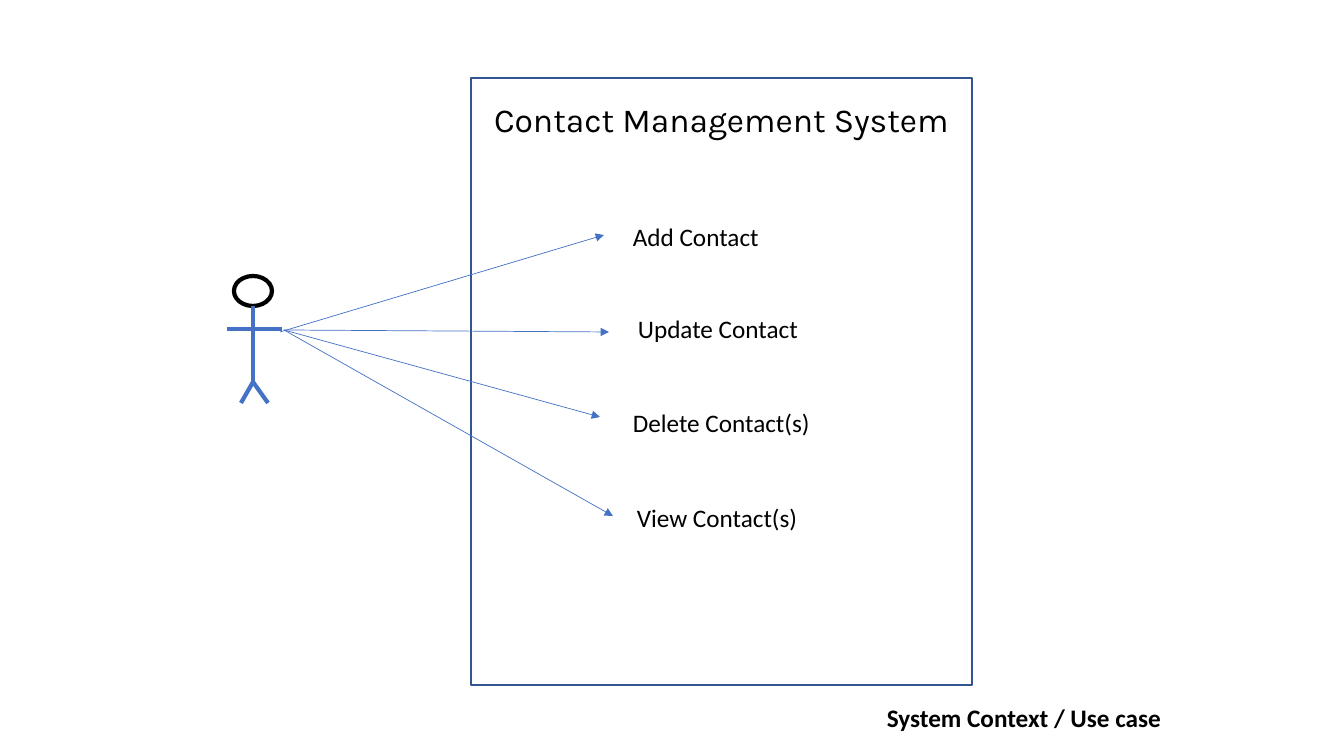
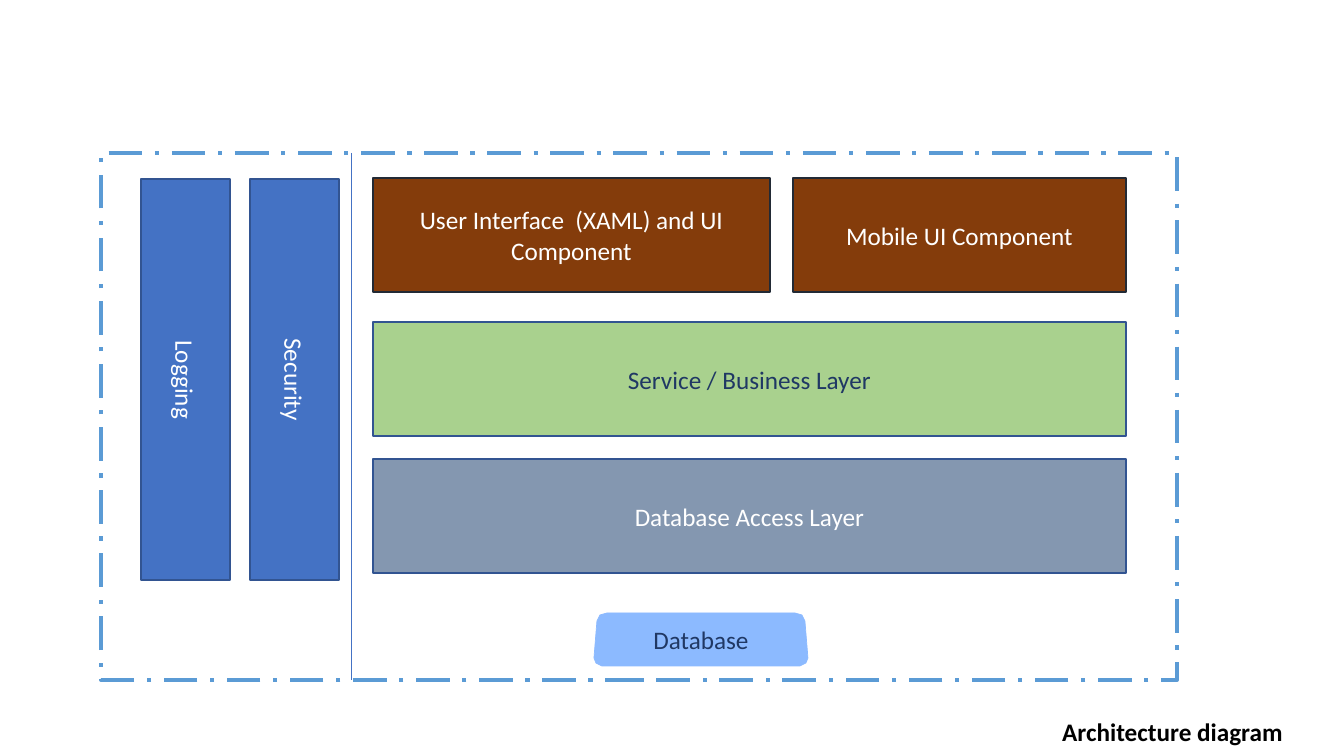
from dataclasses import dataclass
from typing import NamedTuple, Optional

from pptx import Presentation
from pptx.dml.color import RGBColor
from pptx.enum.dml import MSO_LINE
from pptx.enum.shapes import MSO_CONNECTOR, MSO_SHAPE
from pptx.enum.text import MSO_ANCHOR, MSO_AUTO_SIZE, PP_ALIGN
from pptx.oxml.ns import qn
from pptx.util import Emu, Pt

RECT, OVAL = MSO_SHAPE.RECTANGLE, MSO_SHAPE.OVAL
STRAIGHT = MSO_CONNECTOR.STRAIGHT
LEFT, CENTER = PP_ALIGN.LEFT, PP_ALIGN.CENTER
MIDDLE = MSO_ANCHOR.MIDDLE
NO_FIT = MSO_AUTO_SIZE.NONE
DASH_DOT = MSO_LINE.LONG_DASH_DOT
TITLE_ONLY = 5
EMU_PER_PX = 914400 / 100.8


# Theme
@dataclass(frozen=True)
class Theme:
    black: str = "000000"
    white: str = "FFFFFF"
    blue: str = "4472C4"
    edge: str = "325491"
    frame: str = "5B9BD5"
    navy: str = "203864"
    brown: str = "843C0B"
    brown_edge: str = "222A35"
    green: str = "A9D18E"
    slate: str = "8497B0"
    sky: str = "8CBAFF"
    body_font: str = "Calibri"
    label_font: str = "Karla"
    body_size: int = 18
    label_size: int = 24
    hairline: float = 0.5
    outline: float = 1
    heavy: float = 3


T = Theme()


class Box(NamedTuple):
    x: int
    y: int
    w: int
    h: int


class Line(NamedTuple):
    x1: int
    y1: int
    x2: int
    y2: int


@dataclass(frozen=True)
class Block:
    text: str
    box: Box
    fill: str
    edge: str = T.edge
    color: str = T.white
    vertical: bool = False


@dataclass(frozen=True)
class UseCase:
    text: str
    x: int
    y: int
    arrow: Line


# Drawing helpers
def px(n: float) -> Emu:
    return Emu(round(n * EMU_PER_PX))


def rgb(color: str) -> RGBColor:
    return RGBColor.from_string(color)


def write(sp, text: str, color: str = T.black, size: int = T.body_size,
          font: str = T.body_font, align=CENTER, bold: bool = False) -> None:
    tf = sp.text_frame
    tf.word_wrap = True
    tf.auto_size = NO_FIT
    tf.vertical_anchor = MIDDLE
    p = tf.paragraphs[0]
    p.text = text
    p.alignment = align
    p.font.name = font
    p.font.size = Pt(size)
    p.font.bold = bold
    p.font.color.rgb = rgb(color)


def paint(sp, fill: Optional[str], edge: str, width: float) -> None:
    sp.shadow.inherit = False
    if fill:
        sp.fill.solid()
        sp.fill.fore_color.rgb = rgb(fill)
    else:
        sp.fill.background()
    sp.line.color.rgb = rgb(edge)
    sp.line.width = Pt(width)


def add_shape(shapes, kind, box: Box, fill: Optional[str], edge: str,
              width: float = T.outline):
    sp = shapes.add_shape(kind, *map(px, box))
    paint(sp, fill, edge, width)
    return sp


def add_text(shapes, box: Box, text: str, **style) -> None:
    write(shapes.add_textbox(*map(px, box)), text, **style)


def add_line(shapes, line: Line, width: float = T.hairline,
             arrow: bool = False) -> None:
    cx = shapes.add_connector(STRAIGHT, *map(px, line))
    cx.line.color.rgb = rgb(T.blue)
    cx.line.width = Pt(width)
    sp_pr = cx._element.spPr
    if arrow:
        tail = sp_pr.makeelement(qn("a:tailEnd"), {"type": "triangle"})
        sp_pr.find(qn("a:ln")).append(tail)
    sp_pr.append(sp_pr.makeelement(qn("a:effectLst"), {}))


def add_block(shapes, block: Block) -> None:
    sp = add_shape(shapes, RECT, block.box, block.fill, block.edge)
    write(sp, block.text, color=block.color)
    if block.vertical:
        sp.text_frame._txBody.bodyPr.set("vert", "vert")


def add_slide(prs, caption: str, box: Box):
    s = prs.slides.add_slide(prs.slide_layouts[TITLE_ONLY])
    title = s.shapes.title
    title.left, title.top, title.width, title.height = map(px, box)
    write(title, caption, bold=True)
    return s


# Slide 1: use cases
SYSTEM = Box(471, 78, 501, 607)
HEAD = Box(234, 276, 38, 30)
LIMBS = (
    Line(253, 306, 253, 382),
    Line(227, 329, 282, 329),
    Line(241, 403, 253, 382),
    Line(253, 382, 268, 403),
)
USE_CASES = (
    UseCase("Add Contact", 623, 216, Line(280, 332, 604, 235)),
    UseCase("Update Contact", 628, 308, Line(284, 330, 609, 332)),
    UseCase("Delete Contact(s)", 623, 402, Line(284, 330, 600, 417)),
    UseCase("View Contact(s)", 627, 497, Line(284, 330, 613, 516)),
)


def build_use_cases(prs) -> None:
    s = add_slide(prs, "System Context / Use case", Box(738, 697, 572, 40))
    actor = s.shapes.add_group_shape().shapes
    add_shape(actor, OVAL, HEAD, T.white, T.black, T.heavy)
    for limb in LIMBS:
        add_line(actor, limb, T.heavy)

    add_shape(s.shapes, RECT, SYSTEM, None, T.edge)
    add_text(s.shapes, Box(SYSTEM.x, 94, SYSTEM.w, 50),
             "Contact Management System", size=T.label_size, font=T.label_font)
    for case in USE_CASES:
        add_text(s.shapes, Box(case.x, case.y, 240, 40), case.text, align=LEFT)
        add_line(s.shapes, case.arrow, arrow=True)


# Slide 2: architecture
BOUNDARY = Box(101, 153, 1076, 527)
DIVIDER_X = 351
LAYER_X, LAYER_W, LAYER_H = 373, 753, 114
BLOCKS = (
    Block("Logging", Box(141, 179, 89, 401), T.blue, vertical=True),
    Block("Security", Box(250, 179, 89, 401), T.blue, vertical=True),
    Block("User Interface  (XAML) and UI Component",
          Box(LAYER_X, 178, 397, LAYER_H), T.brown, T.brown_edge),
    Block("Mobile UI Component", Box(793, 178, 333, LAYER_H), T.brown,
          T.brown_edge),
    Block("Service / Business Layer", Box(LAYER_X, 322, LAYER_W, LAYER_H),
          T.green, color=T.navy),
    Block("Database Access Layer", Box(LAYER_X, 459, LAYER_W, LAYER_H),
          T.slate),
)
DATABASE_CENTER = 701
DATABASE_HALF = ((94, 613), (101, 615), (104, 621), (107, 658), (105, 663),
                 (99, 666))


def add_database(shapes) -> None:
    right = [(DATABASE_CENTER + dx, y) for dx, y in DATABASE_HALF]
    left = [(DATABASE_CENTER - dx, y) for dx, y in reversed(DATABASE_HALF)]
    outline = shapes.build_freeform(*right[0], scale=EMU_PER_PX)
    outline.add_line_segments(right[1:] + left, close=True)
    sp = outline.convert_to_shape()
    paint(sp, T.sky, T.sky, T.hairline)
    write(sp, "Database", color=T.navy)


def build_architecture(prs) -> None:
    s = add_slide(prs, "Architecture diagram", Box(1001, 711, 343, 40))
    boundary = add_shape(s.shapes, RECT, BOUNDARY, T.white, T.frame, T.heavy)
    boundary.line.dash_style = DASH_DOT
    for block in BLOCKS:
        add_block(s.shapes, block)
    add_database(s.shapes)
    add_line(s.shapes, Line(DIVIDER_X, BOUNDARY.y, DIVIDER_X,
                            BOUNDARY.y + BOUNDARY.h))


def main() -> None:
    prs = Presentation()
    prs.slide_width, prs.slide_height = px(1344), px(756)
    build_use_cases(prs)
    build_architecture(prs)
    prs.save("out.pptx")


main()
